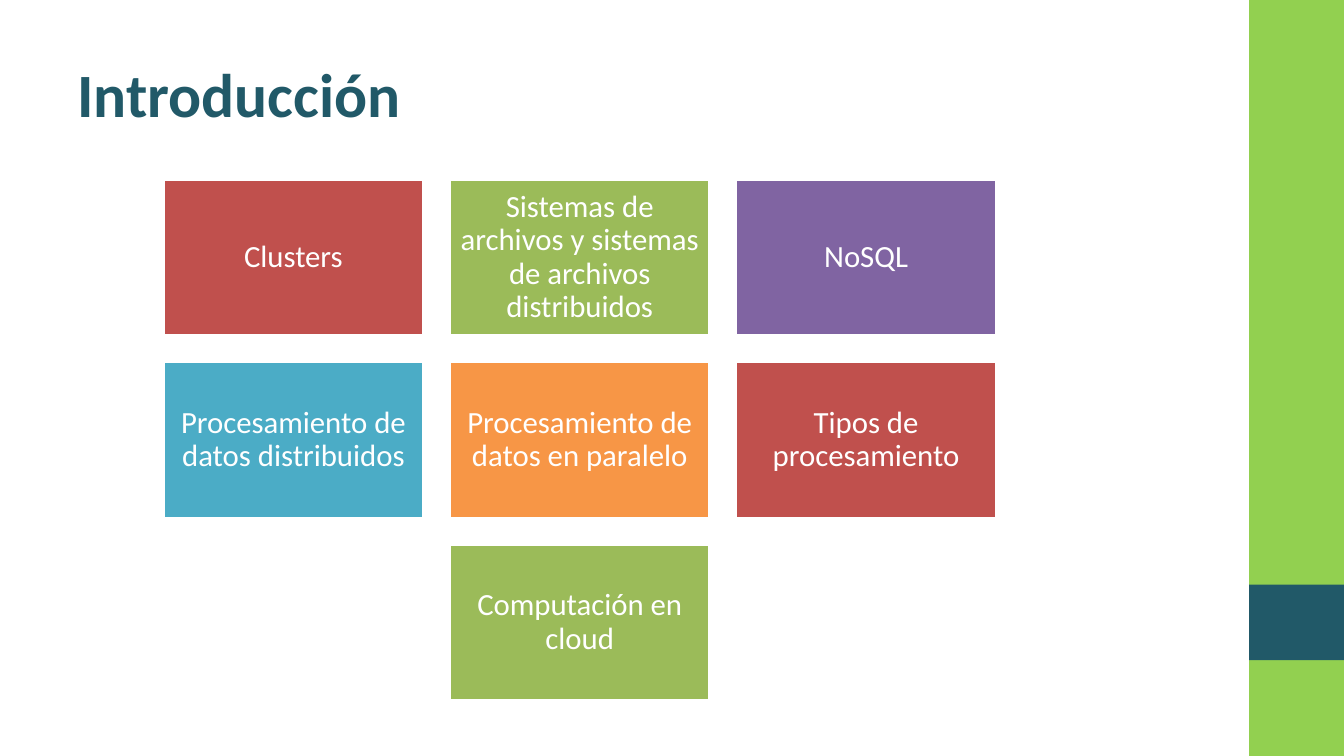
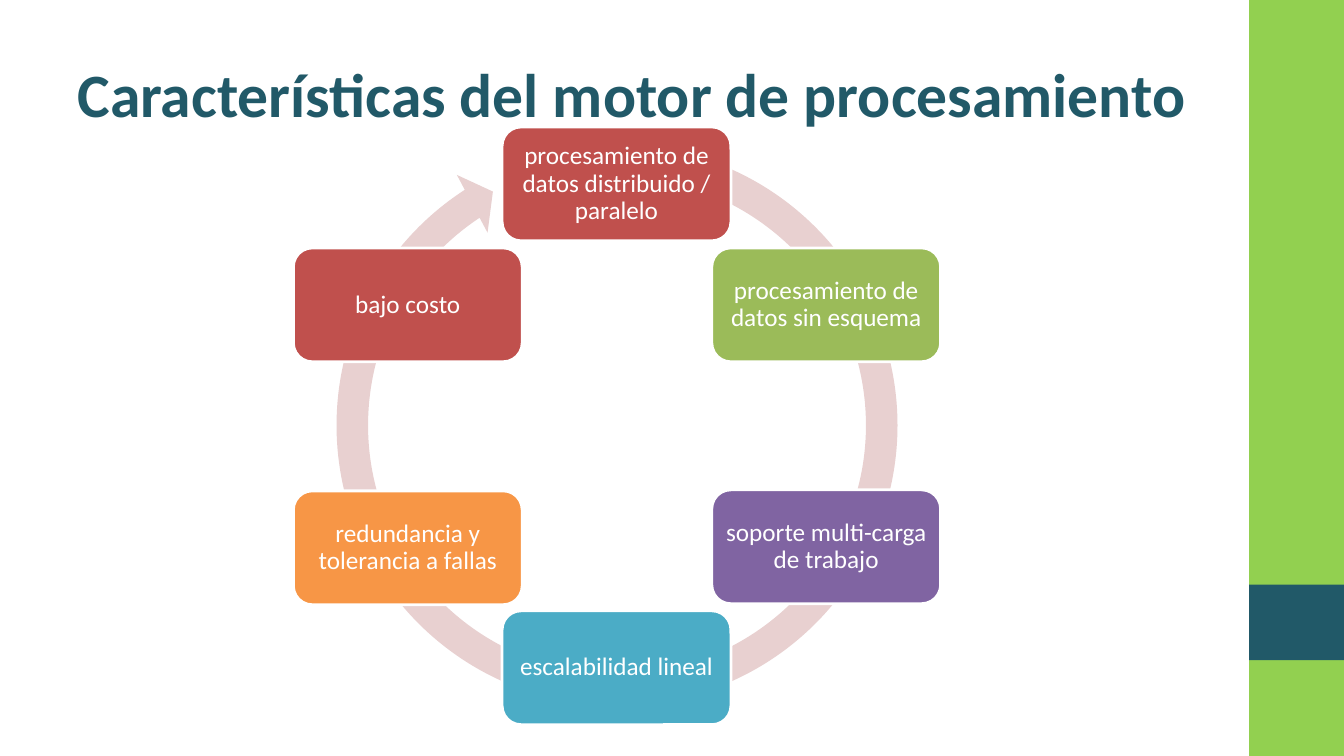
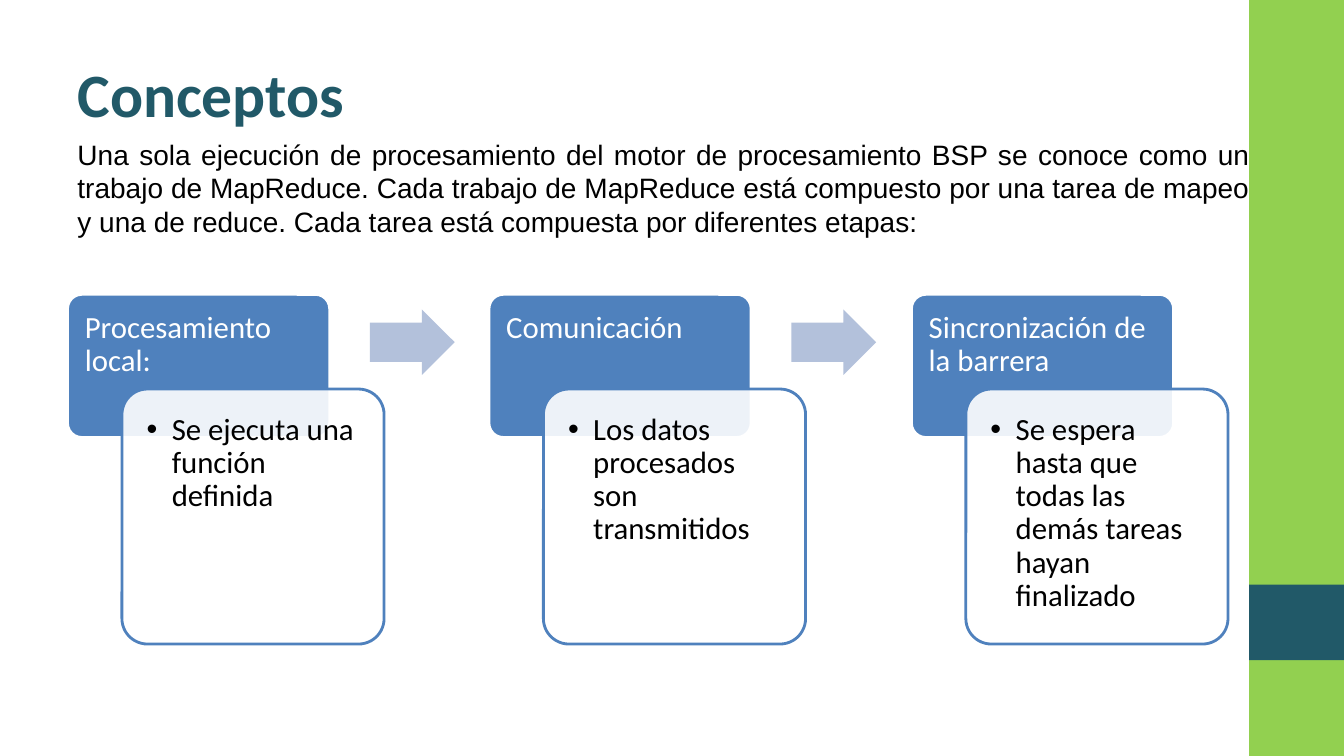
from dataclasses import dataclass
from math import cos, radians, sin

from lxml.etree import SubElement
from pptx import Presentation
from pptx.dml.color import RGBColor
from pptx.enum.shapes import MSO_SHAPE
from pptx.enum.text import MSO_ANCHOR, PP_ALIGN
from pptx.oxml.ns import qn
from pptx.shapes.autoshape import Shape
from pptx.slide import Slide
from pptx.util import Emu, Pt

SCALE = 9144
WIDE, HIGH = 1333, 750
LEFT = 67
WHITE, BLACK = "FFFFFF", "000000"
LIME, TEAL = "92D050", "215968"
RED, GREEN, PURPLE = "C0504D", "9BBB59", "8064A2"
CYAN, ORANGE, BLUE = "4BACC6", "F79646", "4F81BD"
PINK, MIST = "E8D0D0", "B3C1DB"


@dataclass(frozen=True)
class Box:
    x: int
    y: int
    w: int
    h: int


@dataclass(frozen=True)
class Style:
    size: int
    color: str = WHITE
    face: str = "Calibri"
    bold: bool = False
    align: PP_ALIGN = PP_ALIGN.LEFT
    anchor: MSO_ANCHOR = MSO_ANCHOR.TOP
    lines: float = 0.9
    inset: tuple[int, int] = (10, 5)
    bullet: bool = False


@dataclass(frozen=True)
class Node:
    text: str
    fill: str


@dataclass(frozen=True)
class Step:
    head: str
    body: str


TITLE = Style(44, TEAL, bold=True, anchor=MSO_ANCHOR.MIDDLE, lines=1.0)
INTRO = Style(20, BLACK, "Arial", align=PP_ALIGN.JUSTIFY, lines=1.0)
TILE = Style(22, align=PP_ALIGN.CENTER, anchor=MSO_ANCHOR.MIDDLE, inset=(9, 9))
RING = Style(18, align=PP_ALIGN.CENTER, anchor=MSO_ANCHOR.MIDDLE, inset=(7, 7))
HEAD = Style(22, inset=(13, 13))
BODY = Style(22, BLACK, inset=(17, 17), bullet=True)

TOPICS = (
    (
        Node("Clusters", RED),
        Node("Sistemas de archivos y sistemas de archivos distribuidos", GREEN),
        Node("NoSQL", PURPLE),
    ),
    (
        Node("Procesamiento de datos distribuidos", CYAN),
        Node("Procesamiento de datos en paralelo", ORANGE),
        Node("Tipos de procesamiento", RED),
    ),
    (Node("Computación en cloud", GREEN),),
)

TRAITS = (
    Node("procesamiento de datos distribuido / paralelo", RED),
    Node("procesamiento de datos sin esquema", GREEN),
    Node("soporte multi-carga de trabajo", PURPLE),
    Node("escalabilidad lineal", CYAN),
    Node("redundancia y tolerancia a fallas", ORANGE),
    Node("bajo costo", RED),
)

STEPS = (
    Step("Procesamiento local:", "Se ejecuta una función definida"),
    Step("Comunicación", "Los datos procesados son transmitidos"),
    Step(
        "Sincronización de la barrera",
        "Se espera hasta que todas las demás tareas hayan finalizado",
    ),
)

LEAD = (
    "Una sola ejecución de procesamiento del motor de procesamiento BSP se conoce "
    "como un trabajo de MapReduce. Cada trabajo de MapReduce está compuesto por una "
    "tarea de mapeo y una de reduce. Cada tarea está compuesta por diferentes etapas:"
)


def px(count: float) -> Emu:
    return Emu(round(count * SCALE))


def ink(code: str) -> RGBColor:
    return RGBColor.from_string(code)


def place(box: Box) -> tuple[Emu, Emu, Emu, Emu]:
    return px(box.x), px(box.y), px(box.w), px(box.h)


def write(shape: Shape, text: str, style: Style) -> None:
    frame = shape.text_frame
    frame.text = text
    frame.word_wrap = True
    frame.vertical_anchor = style.anchor
    side, edge = style.inset
    frame.margin_left = frame.margin_right = px(side)
    frame.margin_top = frame.margin_bottom = px(edge)
    for para in frame.paragraphs:
        para.alignment = style.align
        para.line_spacing = style.lines
        if style.bullet:
            props = para._p.get_or_add_pPr()
            props.set("marL", str(px(25)))
            props.set("indent", str(px(-25)))
            SubElement(props, qn("a:buFont")).set("typeface", "Arial")
            SubElement(props, qn("a:buChar")).set("char", "•")
        for run in para.runs:
            run.font.name = style.face
            run.font.size = Pt(style.size)
            run.font.bold = style.bold
            run.font.color.rgb = ink(style.color)


def draw(
    slide: Slide,
    kind: MSO_SHAPE,
    box: Box,
    fill: str,
    line: str = "",
    curves: tuple[float, ...] = (),
) -> Shape:
    shape = slide.shapes.add_shape(kind, *place(box))
    shape.shadow.inherit = False
    shape.fill.solid()
    shape.fill.fore_color.rgb = ink(fill)
    if line:
        shape.line.color.rgb = ink(line)
        shape.line.width = Pt(2)
    else:
        shape.line.fill.background()
    for spot, curve in enumerate(curves):
        shape.adjustments[spot] = curve
    return shape


def label(slide: Slide, box: Box, text: str, style: Style) -> None:
    write(slide.shapes.add_textbox(*place(box)), text, style)


def fade(shape: Shape, share: int) -> None:
    color = shape.fill._xPr.find(qn("a:solidFill"))[0]
    SubElement(color, qn("a:alpha")).set("val", str(share * 1000))


def start(deck: Presentation, title: str) -> Slide:
    slide = deck.slides.add_slide(deck.slide_layouts[6])
    band = 1239
    draw(slide, MSO_SHAPE.RECTANGLE, Box(band, 0, WIDE - band, HIGH), LIME)
    draw(slide, MSO_SHAPE.RECTANGLE, Box(band, 580, WIDE - band, 75), TEAL)
    label(slide, Box(LEFT, 30, 1167, 125), title, TITLE)
    return slide


def topics(slide: Slide) -> None:
    wide, high, gap = 258, 155, 26
    most = max(len(row) for row in TOPICS)
    for down, row in enumerate(TOPICS):
        left = 162 + (most - len(row)) * (wide + gap) // 2
        for over, node in enumerate(row):
            box = Box(left + over * (wide + gap), 178 + down * (high + gap), wide, high)
            tile = draw(slide, MSO_SHAPE.RECTANGLE, box, node.fill, WHITE)
            write(tile, node.text, TILE)


def traits(slide: Slide) -> None:
    wide, high, reach = 227, 113, 240
    mid, level = 612, 423
    arc = (0.053, 3.126, 142.101, 171.376, 0.055)
    draw(slide, MSO_SHAPE.CIRCULAR_ARROW, Box(317, 127, 590, 590), PINK, curves=arc)
    for turn, node in enumerate(TRAITS):
        angle = radians(360 * turn / len(TRAITS))
        left = round(mid + reach * sin(angle) - wide / 2)
        top = round(level - reach * cos(angle) - high / 2)
        box = Box(left, top, wide, high)
        card = draw(slide, MSO_SHAPE.ROUNDED_RECTANGLE, box, node.fill, WHITE)
        write(card, node.text, RING)


def steps(slide: Slide) -> None:
    label(slide, Box(LEFT, 131, 1183, 111), LEAD, INTRO)
    wide, top = 260, 292
    for turn, step in enumerate(STEPS):
        left = LEFT + turn * 837 // 2
        round_box = MSO_SHAPE.ROUNDED_RECTANGLE
        head = draw(slide, round_box, Box(left, top, wide, 142), BLUE, WHITE, (0.1,))
        write(head, step.head, HEAD)
        low = Box(left + 54, top + 94, wide, 253)
        body = draw(slide, round_box, low, WHITE, BLUE, (0.1,))
        fade(body, 90)
        write(body, step.body, BODY)
        if turn < len(STEPS) - 1:
            way = Box(left + 300, top + 15, 84, 65)
            draw(slide, MSO_SHAPE.RIGHT_ARROW, way, MIST, curves=(0.6, 0.5))


def main() -> None:
    deck = Presentation()
    deck.slide_width, deck.slide_height = px(WIDE), px(HIGH)
    topics(start(deck, "Introducción"))
    traits(start(deck, "Características del motor de procesamiento"))
    steps(start(deck, "Conceptos"))
    deck.save("out.pptx")


if __name__ == "__main__":
    main()
